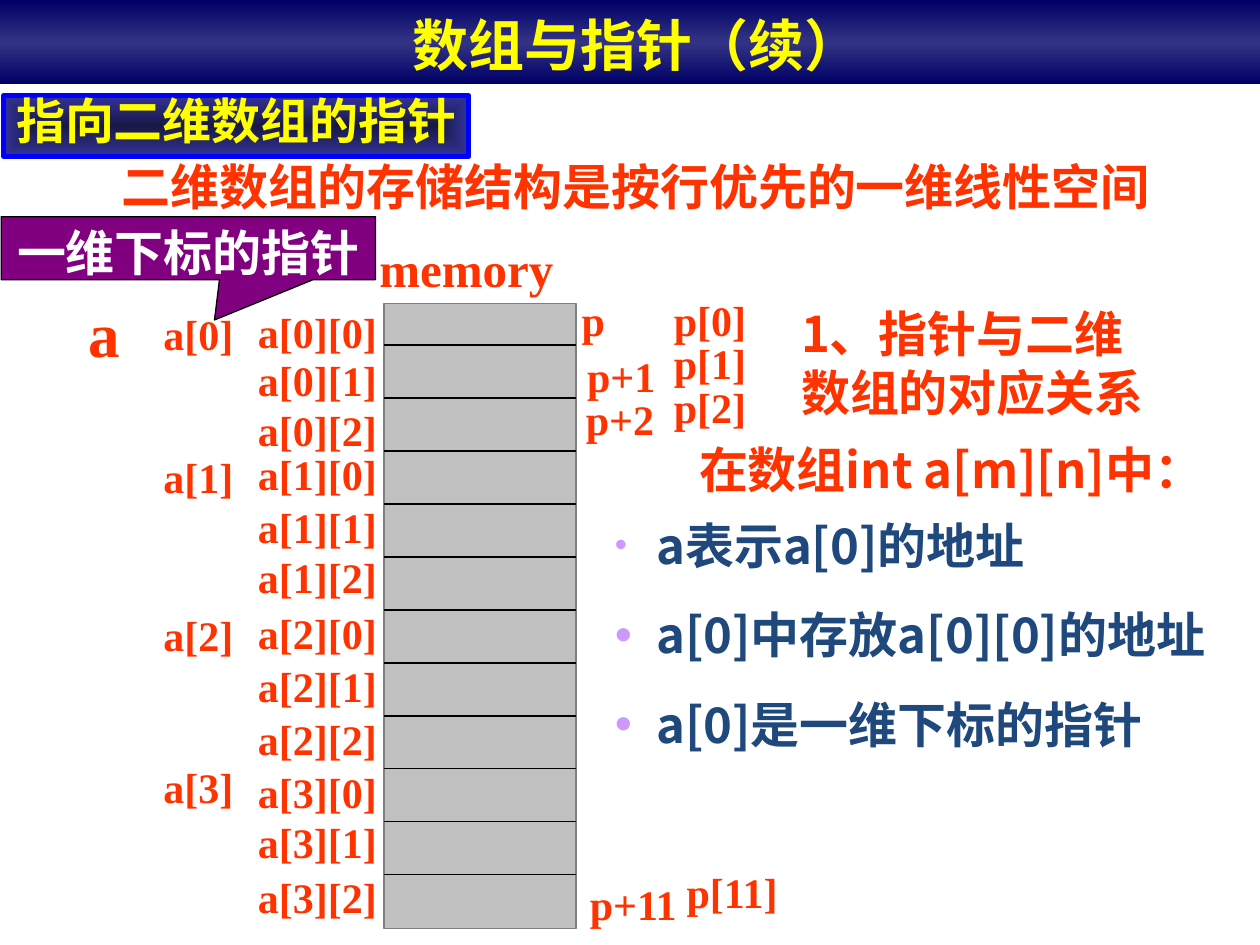
from dataclasses import dataclass
from itertools import product

from pptx import Presentation
from pptx.dml.color import RGBColor
from pptx.enum.shapes import MSO_CONNECTOR, MSO_SHAPE
from pptx.enum.text import MSO_ANCHOR, MSO_AUTO_SIZE, PP_ALIGN
from pptx.oxml import parse_xml
from pptx.oxml.ns import nsdecls, qn
from pptx.util import Inches, Pt

RECTANGLE, CALLOUT = MSO_SHAPE.RECTANGLE, MSO_SHAPE.RECTANGULAR_CALLOUT
STRAIGHT = MSO_CONNECTOR.STRAIGHT
TOP, MIDDLE, BOTTOM = MSO_ANCHOR.TOP, MSO_ANCHOR.MIDDLE, MSO_ANCHOR.BOTTOM
LEFT, CENTER, RIGHT = PP_ALIGN.LEFT, PP_ALIGN.CENTER, PP_ALIGN.RIGHT
NO_FIT = MSO_AUTO_SIZE.NONE

BLACK = RGBColor(0x00, 0x00, 0x00)
WHITE = RGBColor(0xFF, 0xFF, 0xFF)
YELLOW = RGBColor(0xFF, 0xFF, 0x00)
RED = RGBColor(0xFF, 0x33, 0x00)
BLUE = RGBColor(0x00, 0x00, 0xFF)
NAVY = RGBColor(0x1F, 0x49, 0x7D)
PURPLE = RGBColor(0x80, 0x00, 0x80)
LILAC = RGBColor(0xCC, 0x99, 0xFF)
SILVER = RGBColor(0xC0, 0xC0, 0xC0)
GRAY = RGBColor(0x80, 0x80, 0x80)
BAND_DARK = RGBColor(0x00, 0x00, 0x66)
BAND_LIGHT = RGBColor(0x33, 0x33, 0x85)
TAG_DARK = RGBColor(0x18, 0x18, 0x47)
TAG_LIGHT = RGBColor(0x33, 0x33, 0x99)

SANS, SERIF, CABIN = "Noto Sans CJK SC", "Times New Roman", "Cabin"
VERTICAL = '<a:lin ang="5400000" scaled="0"/>'
FROM_CENTER = ('<a:path path="rect">'
               '<a:fillToRect l="50000" t="50000" r="50000" b="50000"/></a:path>')


@dataclass(frozen=True)
class Frame:
    left: float
    top: float
    width: float
    height: float

    def lengths(self) -> tuple:
        return tuple(Inches(v) for v in (self.left, self.top, self.width, self.height))


@dataclass(frozen=True)
class Style:
    size: int
    color: RGBColor
    font: str = SANS
    align: int = LEFT
    anchor: int = TOP
    spacing: float = 1.0
    wrap: bool = True


@dataclass(frozen=True)
class Label:
    text: str
    left: float
    top: float
    width: float
    height: float = 0.48
    size: int = 24


HEADING = Style(28, RED)
CELL_COLUMN, ROW_COLUMN, INDEX_COLUMN = 1.95, 1.2, 5.25
CELL_TOPS = (2.41, 2.79, 3.19, 3.54, 3.96, 4.36, 4.8, 5.22, 5.64, 6.06, 6.46, 6.9)
ROW_TOPS = (2.43, 3.56, 4.82, 6.02)
INDEX_TOPS = (2.32, 2.66, 3.01)
MEMORY = Frame(3.05, 2.41, 1.52, 4.96)
FIRST_DIVIDER, CELL_HEIGHT, DIVIDERS = 2.74, 0.42, 11

LABELS = [
    *(Label(f"a[{row}][{column}]", CELL_COLUMN, top, 1.14)
      for (row, column), top in zip(product(range(4), range(3)), CELL_TOPS)),
    *(Label(f"a[{row}]", ROW_COLUMN, top, 0.75) for row, top in enumerate(ROW_TOPS)),
    *(Label(f"p[{index}]", INDEX_COLUMN, top, 0.77)
      for index, top in enumerate(INDEX_TOPS)),
    Label("p[11]", 5.33, 6.86, 0.94),
    Label("p", 4.52, 2.32, 0.38),
    Label("p+1", 4.56, 2.76, 0.74),
    Label("p+2", 4.55, 3.1, 0.74),
    Label("p+11", 4.56, 6.95, 0.91),
    Label("a", 0.6, 2.33, 0.45, 0.67, 36),
    Label("memory", 2.91, 1.87, 1.58, 0.55, 28),
]
# Each list item with the size of its bullet in percent of the text
ITEMS = ((" a表示a[0]的地址", 71), (" a[0]中存放a[0][0]的地址", 100),
         (" a[0]是一维下标的指针", 100))


def assign(target, values: dict) -> None:
    for name, value in values.items():
        setattr(target, name, value)


def add_text(para, text: str, style: Style) -> None:
    assign(para, {"alignment": style.align, "line_spacing": style.spacing,
                  "space_before": Pt(0)})
    span = para.add_run()
    span.text = text
    assign(span.font, {"name": style.font, "size": Pt(style.size),
                       "bold": True, "italic": False})
    span.font.color.rgb = style.color
    span.font._element.find(qn("a:latin")).addnext(
        parse_xml(f'<a:ea {nsdecls("a")} typeface="{SANS}"/>'))


def prepare_frame(shape, style: Style):
    frame = shape.text_frame
    assign(frame, {"word_wrap": style.wrap, "auto_size": NO_FIT,
                   "vertical_anchor": style.anchor})
    return frame


def write(shape, text: str, style: Style) -> None:
    add_text(prepare_frame(shape, style).paragraphs[0], text, style)


def add_text_box(slide, frame: Frame, text: str, style: Style) -> None:
    write(slide.shapes.add_textbox(*frame.lengths()), text, style)


def add_box(slide, kind: int, frame: Frame, fill: RGBColor, line: RGBColor, weight: float):
    box = slide.shapes.add_shape(kind, *frame.lengths())
    box.shadow.inherit = False
    box.fill.solid()
    box.fill.fore_color.rgb = fill
    box.line.color.rgb = line
    box.line.width = Pt(weight)
    return box


def set_gradient(shape, colors: tuple, direction: str) -> None:
    """Spread the colours evenly over the shape's fill."""
    shape.fill.gradient()
    old = shape._element.spPr.find(qn("a:gradFill"))
    step = 100000 // (len(colors) - 1)
    stops = "".join(f'<a:gs pos="{i * step}"><a:srgbClr val="{color}"/></a:gs>'
                    for i, color in enumerate(colors))
    old.getparent().replace(old, parse_xml(
        f'<a:gradFill {nsdecls("a")} rotWithShape="1">'
        f'<a:gsLst>{stops}</a:gsLst>{direction}</a:gradFill>'))


def place(shape, frame: Frame) -> None:
    assign(shape, dict(zip(("left", "top", "width", "height"), frame.lengths())))


def add_bullet(para, percent: int) -> None:
    properties = para._p.get_or_add_pPr()
    properties.set("marL", str(Inches(0.24)))
    properties.set("indent", str(-Inches(0.24)))
    for body in (f'buClr {nsdecls("a")}><a:srgbClr val="{LILAC}"/></a:buClr>',
                 f'buSzPct {nsdecls("a")} val="{percent * 1000}"/>',
                 f'buChar {nsdecls("a")} char="•"/>'):
        properties.append(parse_xml(f"<a:{body}"))


def fill_list(body) -> None:
    style = Style(28, NAVY)
    frame = prepare_frame(body, style)
    for index, (text, percent) in enumerate(ITEMS):
        para = frame.add_paragraph() if index else frame.paragraphs[0]
        add_bullet(para, percent)
        add_text(para, text, style)
        if index:
            para.space_before = Pt(17.5)


def draw_memory(slide) -> None:
    add_box(slide, RECTANGLE, MEMORY, SILVER, GRAY, 1)
    for index in range(DIVIDERS):
        y = Inches(FIRST_DIVIDER + index * CELL_HEIGHT)
        divider = slide.shapes.add_connector(
            STRAIGHT, Inches(MEMORY.left), y, Inches(MEMORY.left + MEMORY.width), y)
        divider.line.color.rgb = BLACK
        divider.line.width = Pt(1)
        divider._element.spPr.append(parse_xml(f'<a:effectLst {nsdecls("a")}/>'))


def main() -> None:
    deck = Presentation()
    deck.slide_width, deck.slide_height = Inches(10), Inches(7.5)
    slide = deck.slides.add_slide(deck.slide_layouts[1])

    title, body = slide.placeholders
    place(title, Frame(0, 0, 10, 0.67))
    set_gradient(title, (BAND_DARK, BAND_LIGHT, BAND_DARK), VERTICAL)
    write(title, " 数组与指针（续）", Style(32, YELLOW, align=CENTER, anchor=BOTTOM))
    place(body, Frame(4.78, 4.04, 5.38, 3.17))
    fill_list(body)

    tag = add_box(slide, RECTANGLE, Frame(0.03, 0.76, 3.69, 0.48), TAG_DARK, BLUE, 3)
    set_gradient(tag, (TAG_DARK, TAG_LIGHT), FROM_CENTER)
    write(tag, "指向二维数组的指针", Style(28, YELLOW, SERIF, spacing=0.8, wrap=False))

    add_text_box(slide, Frame(0.87, 1.19, 8.6, 0.57),
                 "二维数组的存储结构是按行优先的一维线性空间", HEADING)
    draw_memory(slide)
    for label in LABELS:
        add_text_box(slide, Frame(label.left, label.top, label.width, label.height),
                     label.text, Style(label.size, RED, SERIF, RIGHT, MIDDLE, 0.95, False))

    callout = add_box(slide, CALLOUT, Frame(0.01, 1.72, 2.97, 0.5), PURPLE, BLACK, 0.75)
    callout.adjustments[0], callout.adjustments[1] = 0.07, 1.14
    write(callout, "一维下标的指针", Style(28, WHITE, CABIN, CENTER))

    add_text_box(slide, Frame(6.26, 2.36, 3.13, 1.04),
                 "1、指针与二维数组的对应关系", HEADING)
    add_text_box(slide, Frame(5.45, 3.44, 4.9, 0.57),
                 "在数组int a[m][n]中：", Style(28, RED, wrap=False))
    deck.save("out.pptx")


if __name__ == "__main__":
    main()
